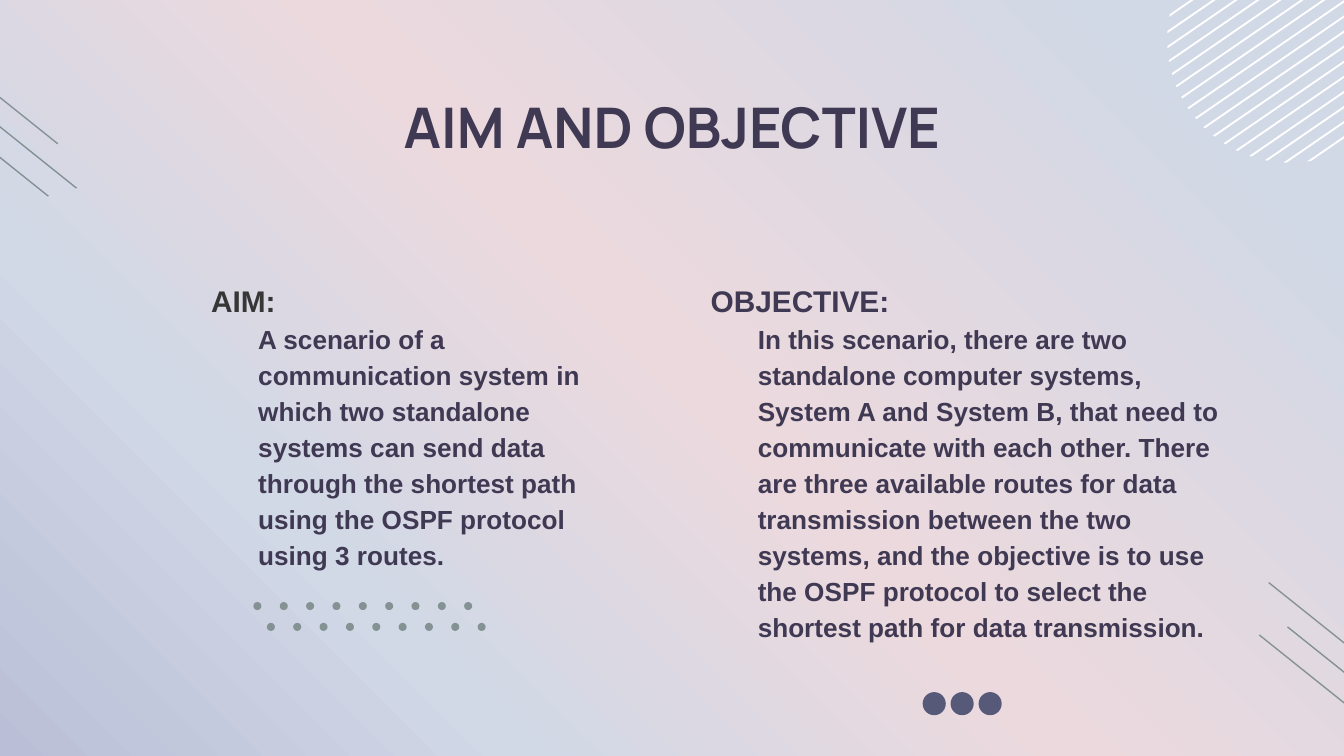
from math import sqrt
from lxml.etree import SubElement
from pptx import Presentation
from pptx.dml.color import RGBColor
from pptx.enum.shapes import MSO_CONNECTOR, MSO_SHAPE
from pptx.enum.text import MSO_ANCHOR, MSO_AUTO_SIZE, PP_ALIGN
from pptx.oxml.ns import qn
from pptx.util import Inches, Pt

WHITE = RGBColor(0xFF, 0xFF, 0xFF)
PLUM = RGBColor(0x40, 0x39, 0x53)
CHARCOAL = RGBColor(0x36, 0x36, 0x36)
SAGE = RGBColor(0x85, 0x92, 0x94)
SLATE = RGBColor(0x57, 0x59, 0x79)
MIST = RGBColor(0xD1, 0xD8, 0xE6)
BLUSH = RGBColor(0xEC, 0xD9, 0xDD)
LILAC = RGBColor(0xBA, 0xBF, 0xD7)

prs = Presentation()
prs.slide_width = Inches(10)
prs.slide_height = prs.slide_width * 9 // 16
cell = prs.slide_width / 100


def grid(*cells):
    return [round(n * cell) for n in cells]


def paint(sp, color):
    sp.shadow.inherit = False
    sp.fill.solid()
    sp.fill.fore_color.rgb = color
    sp.line.fill.background()


s = prs.slides.add_slide(prs.slide_layouts[5])
fill = s.background.fill
fill.gradient()
fill.gradient_angle = 225
stops = s._element.find(".//" + qn("a:gsLst"))
for stop in list(stops):
    stops.remove(stop)
for share, color in [(0, MIST), (11, MIST), (49, BLUSH), (75, MIST), (100, LILAC)]:
    stop = SubElement(stops, qn("a:gs"), pos=str(share * 1000))
    SubElement(stop, qn("a:srgbClr"), val=str(color))

center_x, center_y, radius = 96, 2.95, 9.1
along_x, along_y = 0.83, -0.57
for i in range(17):
    corners = []
    for edge, ends in [(-0.07, (1, -1)), (0.07, (-1, 1))]:
        offset = -6.52 + 0.92 * i + edge
        half = sqrt(radius ** 2 - offset ** 2)
        for end in ends:
            corners.append(grid(center_x - along_y * offset + along_x * half * end,
                                center_y + along_x * offset + along_y * half * end))
    stripe = s.shapes.build_freeform(*corners[0])
    stripe.add_line_segments(corners[1:])
    paint(stripe.convert_to_shape(), WHITE)

for shift_x, shift_y in [(0, 0), (98.1, 39.05)]:
    for x, y in [(-2.3, 7.6), (-4.4, 8.2), (-3.7, 4.3)]:
        x, y = x + shift_x, y + shift_y
        line = s.shapes.add_connector(MSO_CONNECTOR.STRAIGHT, *grid(x, y, x + 8, y + 6.4))
        line.line.color.rgb = SAGE
        line.line.width = Pt(0.75)
        SubElement(line._element.spPr, qn("a:effectLst"))

title = s.shapes.title
title.left, title.top, title.width, title.height = grid(7.85, 5.9, 84.3, 5.2)
tf = title.text_frame
tf.margin_left = tf.margin_right = tf.margin_top = tf.margin_bottom = Inches(0.1)
tf.auto_size = MSO_AUTO_SIZE.NONE
tf.vertical_anchor = MSO_ANCHOR.TOP
p = tf.paragraphs[0]
p.alignment = PP_ALIGN.CENTER
r = p.add_run()
r.text = "AIM AND OBJECTIVE"
r.font.name, r.font.size, r.font.bold = "Manrope", Pt(30), True
r.font.color.rgb = PLUM

columns = [
    ((13.23, 19.67, 35.5, 20.8), "AIM:", CHARCOAL,
     "A scenario of a communication system in which two standalone systems can send "
     "data through the shortest path using the OSPF protocol using 3 routes."),
    ((50.4, 19.67, 42.4, 28.4), "OBJECTIVE:", PLUM,
     "In this scenario, there are two standalone computer systems, System A and System B, "
     "that need to communicate with each other. There are three available routes for data "
     "transmission between the two systems, and the objective is to use the OSPF protocol "
     "to select the shortest path for data transmission."),
]
for box, heading, heading_color, body in columns:
    tf = s.shapes.add_textbox(*grid(*box)).text_frame
    tf.word_wrap = True
    tf.margin_left = tf.margin_right = tf.margin_top = tf.margin_bottom = Inches(0.1)
    paragraphs = [tf.paragraphs[0], tf.add_paragraph()]
    texts = [(heading, 16, heading_color), ("\t" + body, 14, PLUM)]
    for p, (text, size, color) in zip(paragraphs, texts):
        p.line_spacing = 1.15
        pPr = p._p.get_or_add_pPr()
        pPr.set("marL", str(Inches(0.5)))
        pPr.set("indent", str(Inches(-0.35)))
        r = p.add_run()
        r.text = text
        r.font.name, r.font.size, r.font.bold = "Arial", Pt(size), True
        r.font.color.rgb = color

dot_rows = [(68.65, 51.5, 2.08, 1.72, 3, SLATE),
            (18.86, 44.8, 1.96, 0.6, 9, SAGE),
            (19.86, 46.35, 1.96, 0.6, 9, SAGE)]
for x, y, pitch, size, count, color in dot_rows:
    for i in range(count):
        dot = s.shapes.add_shape(MSO_SHAPE.OVAL, *grid(x + i * pitch, y, size, size))
        paint(dot, color)

prs.save("out.pptx")
